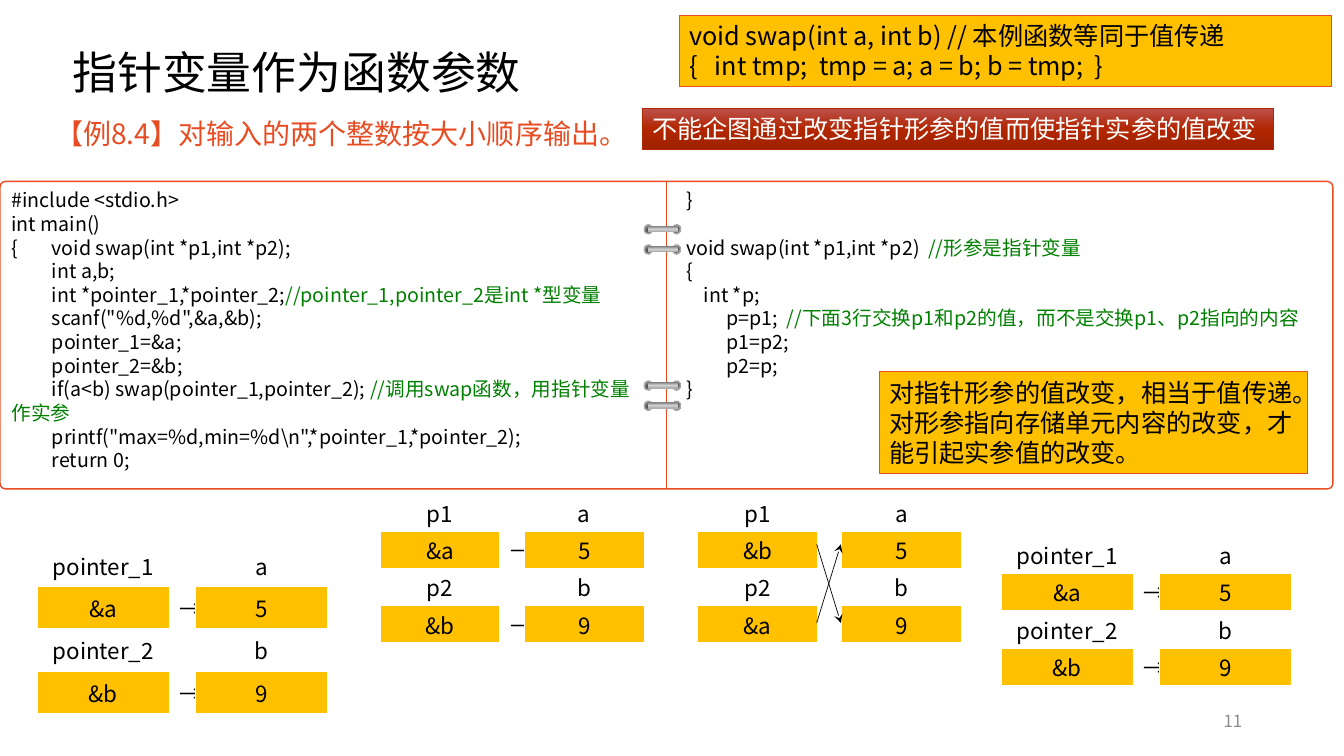
from pptx import Presentation
from pptx.dml.color import RGBColor
from pptx.enum.shapes import MSO_CONNECTOR as Link, MSO_SHAPE as Shape
from pptx.enum.text import MSO_ANCHOR as Anchor, PP_ALIGN as Align
from pptx.oxml import parse_xml
from pptx.oxml.ns import nsdecls, qn
from pptx.util import Inches, Pt

FONT = "Noto Sans CJK SC"
COLORS = {"black": "000000", "white": "FFFFFF", "orange": "E84C22",
          "amber": "FFC000", "green": "008000", "red": "B22600",
          "gray": "8C8C8C", "ring": "A9A9A9"}
HOLE = [(20, "808080"), (51, "525252"), (86, "A5A5A5")]
BAR = [(9, "808080"), (57, "D2D2D2"), (98, "AEAEAE")]
ALERT = [(0, "BB514B"), (50, "B22600"), (100, "9E2200")]

# Each line of code, with its comment after a "|"
CODE = r"""#include <stdio.h>
int main()
{	void swap(int *p1,int *p2);
	int a,b;
	int *pointer_1,*pointer_2;|//pointer_1,pointer_2是int *型变量
	scanf("%d,%d",&a,&b);
	pointer_1=&a;
	pointer_2=&b;
	if(a<b) swap(pointer_1,pointer_2); |//调用swap函数，用指针变量作实参
	printf("max=%d,min=%d\n",*pointer_1,*pointer_2);
	return 0;
}

void swap(int *p1,int *p2) 	|//形参是指针变量
{	
    int *p;
	p=p1;  |//下面3行交换p1和p2的值，而不是交换p1、p2指向的内容
	p1=p2;
	p2=p;
}"""


def rgb(name):
    return RGBColor.from_string(COLORS[name])


def write(frame, text, size=18, color="black", align=Align.LEFT,
          anchor=Anchor.TOP, space=None, tabs=()):
    """Fill a text frame; the part of a line after "|" is a green comment."""
    frame.word_wrap = True
    frame.vertical_anchor = anchor
    for i, line in enumerate(text.split("\n")):
        para = frame.paragraphs[0] if i == 0 else frame.add_paragraph()
        if tabs:
            stops = "".join(f'<a:tab pos="{Inches(t)}" algn="l"/>' for t in tabs)
            para._p.get_or_add_pPr().append(
                parse_xml(f'<a:tabLst {nsdecls("a")}>{stops}</a:tabLst>'))
        para.alignment = align
        para.line_spacing = space
        para.font.size = Pt(size)
        for part, tint in zip(line.split("|"), (color, "green")):
            if not part:
                continue
            run = para.add_run()
            run.text = part
            font = run.font
            font.size, font.name = Pt(size), FONT
            font.color.rgb = rgb(tint)
            run._r.get_or_add_rPr().append(
                parse_xml(f'<a:ea {nsdecls("a")} typeface="{FONT}"/>'))


def label(slide, box, text, **style):
    shape = slide.shapes.add_textbox(*map(Inches, box))
    write(shape.text_frame, text, **style)


def panel(slide, box, fill, line=None, width=0.75, kind=Shape.RECTANGLE):
    """Fill is a colour name or a list of gradient stops."""
    shape = slide.shapes.add_shape(kind, *map(Inches, box))
    if isinstance(fill, str):
        shape.fill.solid()
        shape.fill.fore_color.rgb = rgb(fill)
    else:
        stops = "".join(f'<a:gs pos="{pos * 1000}"><a:srgbClr val="{tone}"/></a:gs>'
                        for pos, tone in fill)
        if kind == Shape.OVAL:
            way = ('<a:path path="circle"><a:fillToRect l="100000" t="100000"/>'
                   '</a:path>')
        else:
            way = '<a:lin ang="5400000" scaled="0"/>'
        shape._element.spPr.insert(2, parse_xml(
            f'<a:gradFill {nsdecls("a")}><a:gsLst>{stops}</a:gsLst>{way}</a:gradFill>'))
    if line:
        shape.line.color.rgb = rgb(line)
        shape.line.width = Pt(width)
    else:
        shape.line.fill.background()
    shape.shadow.inherit = False
    return shape


def link(slide, start, end, color, arrow=False):
    line = slide.shapes.add_connector(Link.STRAIGHT, *map(Inches, start + end))
    line.line.color.rgb = rgb(color)
    line.line.width = Pt(0.5)
    props = line._element.spPr
    if arrow:
        props.find(qn("a:ln")).append(
            parse_xml(f'<a:tailEnd {nsdecls("a")} type="stealth"/>'))
    props.append(parse_xml(f'<a:effectLst {nsdecls("a")}/>'))
    return line


def ring(slide, top):
    for left in (6.67, 6.39):
        panel(slide, (left, top, 0.08, 0.09), HOLE, "ring", 1, Shape.OVAL)
    panel(slide, (6.43, top + 0.01, 0.3, 0.06), BAR)


def memory(slide, left, top, names, values, wide, gap, high, pad, arrow="→"):
    """Two pointers, each beside the variable it holds the address of."""
    rows = [(names[0], "", "a"), (values[0], arrow, "5"),
            (names[1], "", "b"), (values[1], arrow, "9")]
    widths = (wide, gap, wide)
    frame = slide.shapes.add_table(4, 3, Inches(left), Inches(top),
                                   Inches(sum(widths)), Inches(high * 4))
    table = frame.table
    table.first_row = table.horz_banding = False
    for col, width in zip(table.columns, widths):
        col.width = Inches(width)
    for r, row in enumerate(rows):
        table.rows[r].height = Inches(high)
        for c, text in enumerate(row):
            cell = table.cell(r, c)
            cell.margin_top = cell.margin_bottom = Inches(pad)
            cell.vertical_anchor = Anchor.MIDDLE
            if r % 2 and c != 1:
                cell.fill.solid()
                cell.fill.fore_color.rgb = rgb("amber")
            else:
                cell.fill.background()
            write(cell.text_frame, text, size=16, align=Align.CENTER,
                  anchor=Anchor.MIDDLE)


def code(slide):
    box = panel(slide, (0, 1.8, 13.22, 3.05), "white", "orange", 1,
                Shape.ROUNDED_RECTANGLE)
    box.adjustments[0] = 0.018
    write(box.text_frame, CODE, size=14, space=Pt(16.9), tabs=(0.4, 2.4))
    body = box.text_frame._txBody.bodyPr
    body.set("numCol", "2")
    body.set("spcCol", str(Inches(0.39)))
    # Spine between the two pages
    spine = link(slide, (6.61, 1.8), (6.61, 4.85), "orange")
    spine.begin_connect(box, 0)
    spine.end_connect(box, 2)
    for top in (2.23, 2.43, 3.78, 3.98):
        ring(slide, top)


def note(slide, box, text, fill="amber", line="orange", color="black"):
    shape = panel(slide, box, fill, line)
    write(shape.text_frame, text, color=color, space=Pt(21.6))


def main():
    deck = Presentation()
    deck.slide_width, deck.slide_height = Inches(13.33), Inches(7.5)
    slide = deck.slides.add_slide(deck.slide_layouts[6])

    # Heading
    label(slide, (0.62, 0.02, 11.5, 1.45), "指针变量作为函数参数", size=32,
          anchor=Anchor.MIDDLE, space=0.9)
    label(slide, (0.45, 1.04, 8.35, 0.6), "【例8.4】对输入的两个整数按大小顺序输出。",
          size=20, color="orange", space=Pt(28.8))

    code(slide)

    # Memory before, during and after the call
    full, short = ("pointer_1", "pointer_2"), ("p1", "p2")
    kept, swapped = ("&a", "&b"), ("&b", "&a")
    memory(slide, 0.37, 5.4, full, kept, 1.31, 0.26, 0.42, 0.05)
    memory(slide, 3.77, 4.9, short, kept, 1.19, 0.24, 0.37, 0.02)
    memory(slide, 6.92, 4.9, short, swapped, 1.19, 0.24, 0.37, 0.02, arrow="")
    memory(slide, 9.93, 5.32, full, kept, 1.31, 0.26, 0.37, 0.02)
    for start, end in ((6.18, 5.4), (5.4, 6.18)):
        link(slide, (8.1, start), (8.34, end), "black", arrow=True)

    # Remarks
    note(slide, (6.37, 1.08, 6.26, 0.4), "不能企图通过改变指针形参的值而使指针实参的值改变",
         fill=ALERT, line="red", color="white")
    note(slide, (8.72, 3.69, 4.25, 1.01),
         "对指针形参的值改变，相当于值传递。\n"
         "对形参指向存储单元内容的改变，才能引起实参值的改变。")
    note(slide, (6.74, 0.15, 6.47, 0.71),
         "void swap(int a, int b) // 本例函数等同于值传递\n"
         "{   int tmp;  tmp = a; a = b; b = tmp;  }")

    # Page number
    label(slide, (9.42, 6.95, 3, 0.4), "11", size=12, color="gray",
          align=Align.RIGHT, anchor=Anchor.MIDDLE)
    deck.save("out.pptx")


if __name__ == "__main__":
    main()
